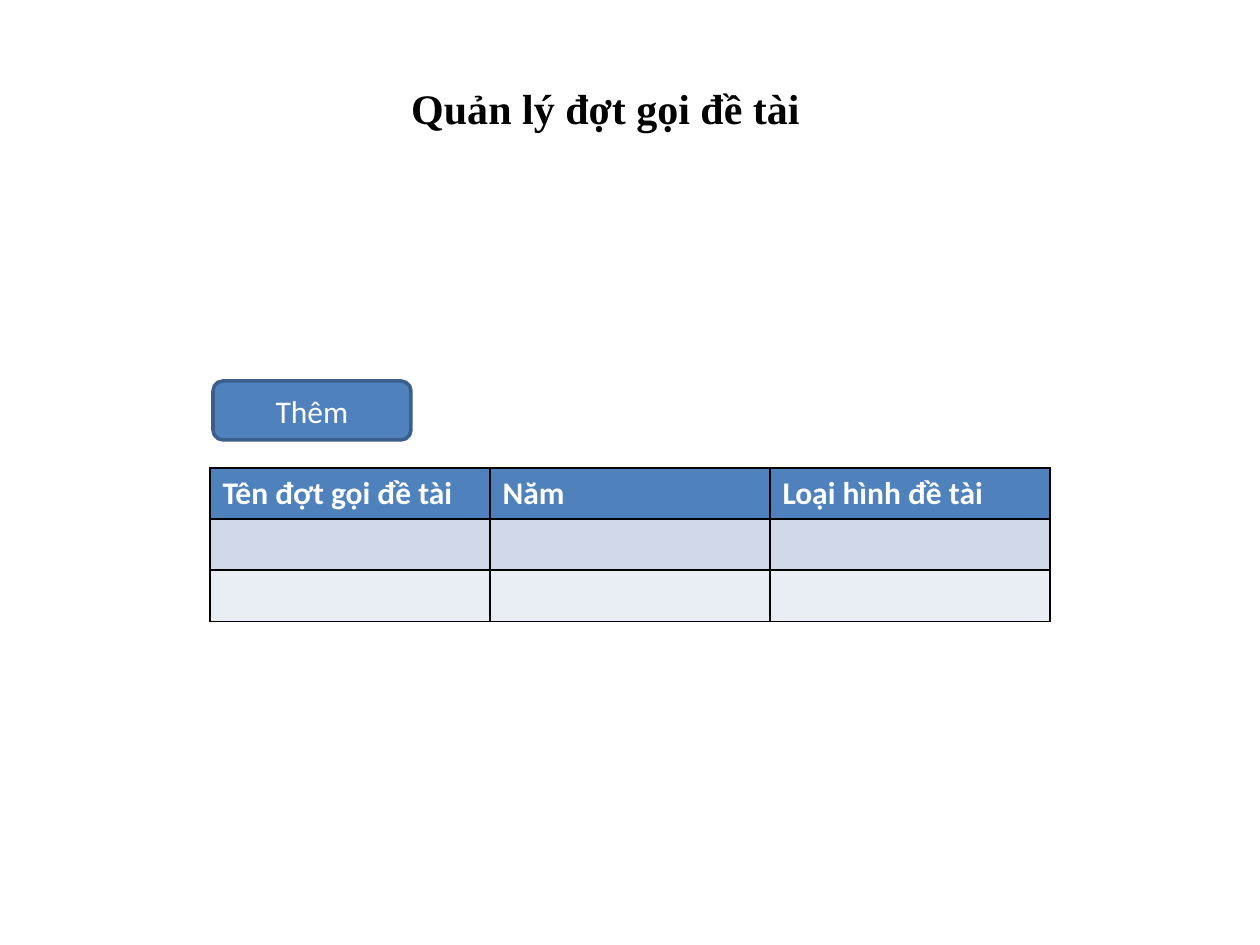
from lxml.etree import SubElement
from pptx import Presentation
from pptx.dml.color import RGBColor
from pptx.enum.shapes import MSO_SHAPE
from pptx.enum.text import MSO_ANCHOR, PP_ALIGN
from pptx.oxml.ns import qn
from pptx.util import Emu, Pt

WHITE = RGBColor(0xFF, 0xFF, 0xFF)
BLACK = RGBColor(0x00, 0x00, 0x00)
BLUE = RGBColor(0x4F, 0x81, 0xBD)
DARK_BLUE = RGBColor(0x3A, 0x5F, 0x8C)
BAND_DARK = RGBColor(0xD0, 0xD8, 0xE8)
BAND_LIGHT = RGBColor(0xE9, 0xED, 0xF4)

TITLE_FONT = {"name": "Times New Roman", "size": Pt(24), "bold": True, "color": BLACK}
BUTTON_FONT = {"name": "Calibri", "size": Pt(18), "bold": False, "color": WHITE}
HEADER_FONT = {**BUTTON_FONT, "bold": True}


def px(*lengths):
    return [Emu(length * 914400 // 126) for length in lengths]


def write(paragraph, text, font_format):
    run = paragraph.add_run()
    run.text = text
    for name, value in font_format.items():
        if name == "color":
            run.font.color.rgb = value
        else:
            setattr(run.font, name, value)


presentation = Presentation()
presentation.slide_width, presentation.slide_height = px(1260, 945)
slide = presentation.slides.add_slide(presentation.slide_layouts[6])

# Table of calls: header row and two empty banded rows
headers = ["Tên đợt gọi đề tài", "Năm", "Loại hình đề tài"]
row_fills = [BLUE, BAND_DARK, BAND_LIGHT]
table = slide.shapes.add_table(
    len(row_fills), len(headers), *px(210, 468, 840, 153)
).table
for row, fill_color in zip(table.rows, row_fills):
    for cell in row.cells:
        cell.fill.solid()
        cell.fill.fore_color.rgb = fill_color
        properties = cell._tc.get_or_add_tcPr()
        for position, side in enumerate(("lnL", "lnR", "lnT", "lnB")):
            border = SubElement(properties, qn(f"a:{side}"), w=str(Pt(1)))
            fill = SubElement(border, qn("a:solidFill"))
            SubElement(fill, qn("a:srgbClr"), val=str(BLACK))
            properties.insert(position, border)
for column, header in enumerate(headers):
    write(table.cell(0, column).text_frame.paragraphs[0], header, HEADER_FONT)

# Add button
button = slide.shapes.add_shape(MSO_SHAPE.ROUNDED_RECTANGLE, *px(213, 381, 198, 59))
button.shadow.inherit = False
button.fill.solid()
button.fill.fore_color.rgb = BLUE
button.line.color.rgb = DARK_BLUE
button.line.width = Pt(2)
button.text_frame.vertical_anchor = MSO_ANCHOR.MIDDLE
paragraph = button.text_frame.paragraphs[0]
paragraph.alignment = PP_ALIGN.CENTER
write(paragraph, "Thêm", BUTTON_FONT)

# Title
title = slide.shapes.add_textbox(*px(184, 76, 843, 63))
title.text_frame.word_wrap = True
paragraph = title.text_frame.paragraphs[0]
paragraph.alignment = PP_ALIGN.CENTER
write(paragraph, "Quản lý đợt gọi đề tài", TITLE_FONT)

presentation.save("out.pptx")
